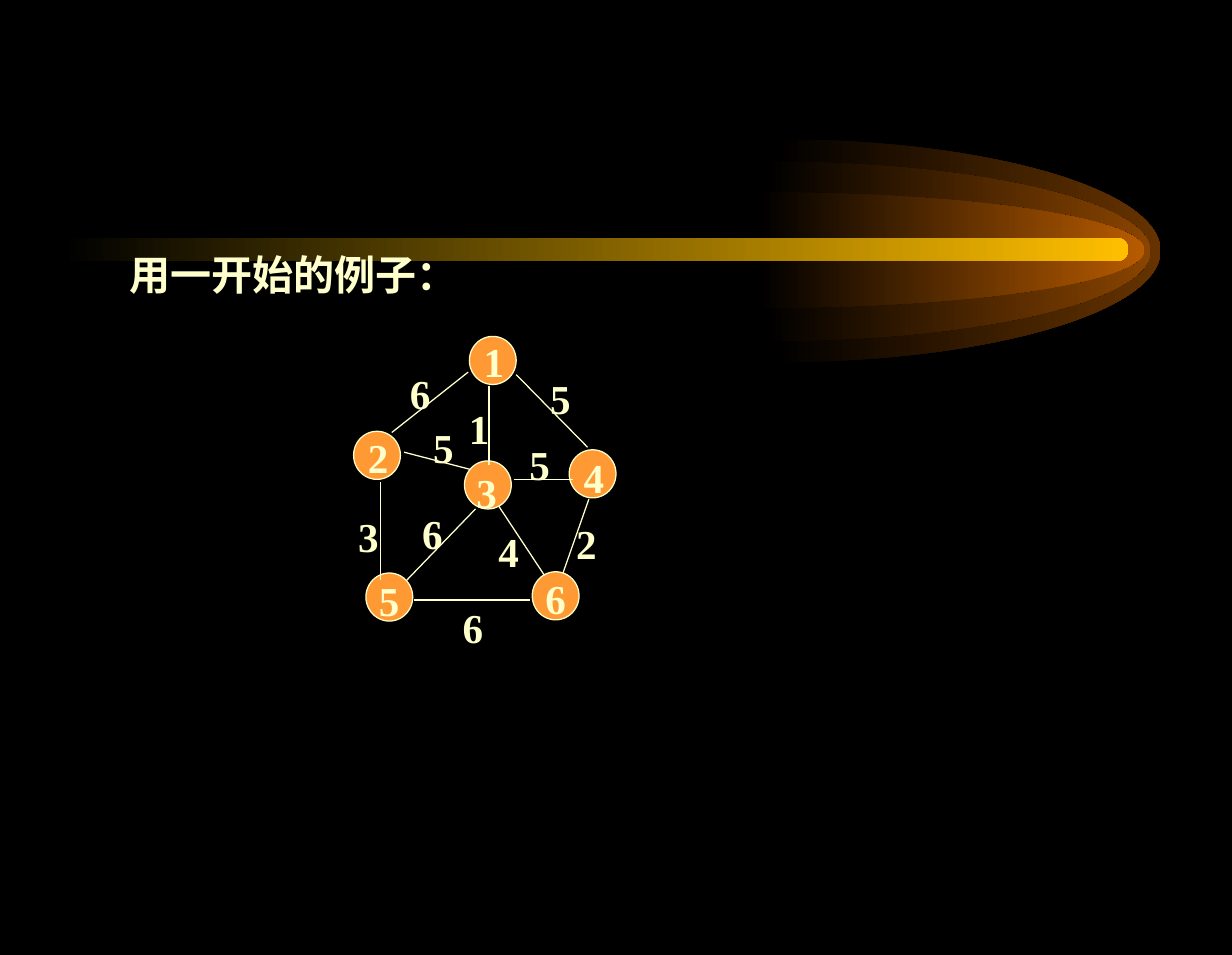
"""Build a slide showing a weighted graph beneath a comet-shaped banner."""
from dataclasses import dataclass

from pptx import Presentation
from pptx import util as u
from pptx.dml import color
from pptx.enum import shapes, text
from pptx.oxml import ns, xmlchemy


@dataclass(frozen=True)
class Theme:
    """Colours, type and line sizes of the slide."""

    background: str = "000000"
    ink: str = "FFFFCC"
    node: str = "FF9933"
    beam: str = "FFBF00"
    font: str = "Times New Roman"
    size: int = 24
    line: float = 0.75


THEME = Theme()
NODE_SIZE = (0.38, 0.39)
LABEL_SIZE = (0.36, 0.5)
GLOW_RADIUS = 3.13
CURVE = 0.55

GLOWS = [
    (6.29, 1.13, 1.81, "663300"),
    (6.21, 1.31, 1.46, "894400"),
    (6.16, 1.56, 0.94, "B75B00"),
]
NODES = [(2.87, 3.5), (3.81, 2.73), (3.77, 3.74), (2.97, 4.65), (4.62, 3.65), (4.32, 4.64)]
EDGES = [
    ((3.18, 3.51), (3.8, 3.02)),
    ((3.09, 3.91), (3.09, 4.71)),
    ((3.28, 3.67), (3.82, 3.81)),
    ((3.97, 3.13), (3.97, 3.77)),
    ((4.17, 3.89), (4.65, 3.89)),
    ((4.05, 4.11), (4.42, 4.67)),
    ((3.86, 4.13), (3.3, 4.71)),
    ((4.19, 3.04), (4.77, 3.63)),
    ((3.36, 4.87), (4.3, 4.87)),
    ((4.78, 4.05), (4.57, 4.65)),
]
NODE_LABELS = [
    ("1", 3.83, 2.68),
    ("4", 4.64, 3.62),
    ("2", 2.89, 3.46),
    ("3", 3.77, 3.74),
    ("5", 2.98, 4.62),
    ("6", 4.33, 4.6),
]
WEIGHT_LABELS = [
    ("6", 3.23, 2.94),
    ("5", 4.37, 2.98),
    ("5", 4.2, 3.52),
    ("1", 3.71, 3.22),
    ("4", 3.95, 4.22),
    ("2", 4.58, 4.16),
    ("6", 3.66, 4.84),
    ("3", 2.81, 4.1),
    ("5", 3.42, 3.38),
    ("6", 3.33, 4.08),
]


def rgb(value):
    """Turn a hex string into a colour."""
    return color.RGBColor.from_string(value)


def inches(*values):
    """Turn numbers into a list of lengths."""
    return [u.Inches(value) for value in values]


def set_values(target, values):
    """Set each named attribute of the target."""
    for name, value in values.items():
        setattr(target, name, value)


def fade(shape, end_color):
    """Fill a shape from the background colour to the end colour."""
    shape.shadow.inherit = False
    shape.line.fill.background()
    shape.fill.gradient()
    shape.fill.gradient_angle = 0
    for stop, value in zip(shape.fill.gradient_stops, (THEME.background, end_color)):
        stop.color.rgb = rgb(value)


def bend(segment, points):
    """Replace a straight outline segment by a cubic curve."""
    curve = xmlchemy.OxmlElement("a:cubicBezTo")
    for x, y in points:
        point = xmlchemy.OxmlElement("a:pt")
        point.set("x", str(u.Inches(x)))
        point.set("y", str(u.Inches(y)))
        curve.append(point)
    segment.getparent().replace(segment, curve)


def add_glow(page, left, top, height, end_color):
    """Draw the right half of an ellipse as a fading glow."""
    wide, radius = GLOW_RADIUS, height / 2
    builder = page.shapes.build_freeform(*inches(left, top))
    builder.add_line_segments([
        inches(left + wide, top + radius),
        inches(left, top + height),
    ])
    glow = builder.convert_to_shape()
    upper, lower = list(glow._element.iter(ns.qn("a:lnTo")))[:2]
    bend(upper, [(wide * CURVE, 0), (wide, radius * (1 - CURVE)), (wide, radius)])
    bend(lower, [(wide, radius * (1 + CURVE)), (wide * CURVE, height), (0, height)])
    fade(glow, end_color)


def add_beam(page):
    """Draw the long rounded beam of the comet."""
    beam = page.shapes.add_shape(
        shapes.MSO_SHAPE.ROUNDED_RECTANGLE, *inches(0.5, 1.93, 8.66, 0.19)
    )
    beam.adjustments[0] = 0.5
    fade(beam, THEME.beam)


def style_line(line):
    """Give a line the theme colour and width."""
    line.color.rgb = rgb(THEME.ink)
    line.width = u.Pt(THEME.line)


def add_node(page, left, top):
    """Draw one round graph node."""
    node = page.shapes.add_shape(shapes.MSO_SHAPE.OVAL, *inches(left, top, *NODE_SIZE))
    node.shadow.inherit = False
    node.fill.solid()
    node.fill.fore_color.rgb = rgb(THEME.node)
    style_line(node.line)


def add_edge(page, start, end):
    """Draw one straight graph edge."""
    edge = page.shapes.add_connector(shapes.MSO_CONNECTOR.STRAIGHT, *inches(*start, *end))
    style_line(edge.line)
    edge._element.spPr.append(xmlchemy.OxmlElement("a:effectLst"))


def write(box, words, align):
    """Write bold theme text in the middle of an unwrapped box."""
    set_values(box.text_frame, {
        "word_wrap": False,
        "auto_size": text.MSO_AUTO_SIZE.NONE,
        "vertical_anchor": text.MSO_ANCHOR.MIDDLE,
    })
    para = box.text_frame.paragraphs[0]
    para.alignment = align
    span = para.add_run()
    span.text = words
    set_values(span.font, {"name": THEME.font, "size": u.Pt(THEME.size), "bold": True})
    span.font.color.rgb = rgb(THEME.ink)


def add_label(page, words, left, top):
    """Write one centred number."""
    box = page.shapes.add_textbox(*inches(left, top, *LABEL_SIZE))
    write(box, words, text.PP_ALIGN.CENTER)


def place_title(page, words):
    """Move the title placeholder in front of the comet and fill it."""
    title = page.shapes.title
    left, top, width, height = inches(0.95, 1.97, 2.86, 0.5)
    set_values(title, {"left": left, "top": top, "width": width, "height": height})
    write(title, words, text.PP_ALIGN.LEFT)
    title._element.getparent().append(title._element)


def main():
    """Build and save the deck."""
    deck = Presentation()
    deck.slide_width, deck.slide_height = inches(10, 7.75)
    page = deck.slides.add_slide(deck.slide_layouts.get_by_name("Title Only"))
    page.background.fill.solid()
    page.background.fill.fore_color.rgb = rgb(THEME.background)
    for glow in GLOWS:
        add_glow(page, *glow)
    add_beam(page)
    place_title(page, "用一开始的例子：")
    for node in NODES:
        add_node(page, *node)
    for edge in EDGES:
        add_edge(page, *edge)
    for label in NODE_LABELS + WEIGHT_LABELS:
        add_label(page, *label)
    deck.save("out.pptx")


if __name__ == "__main__":
    main()
